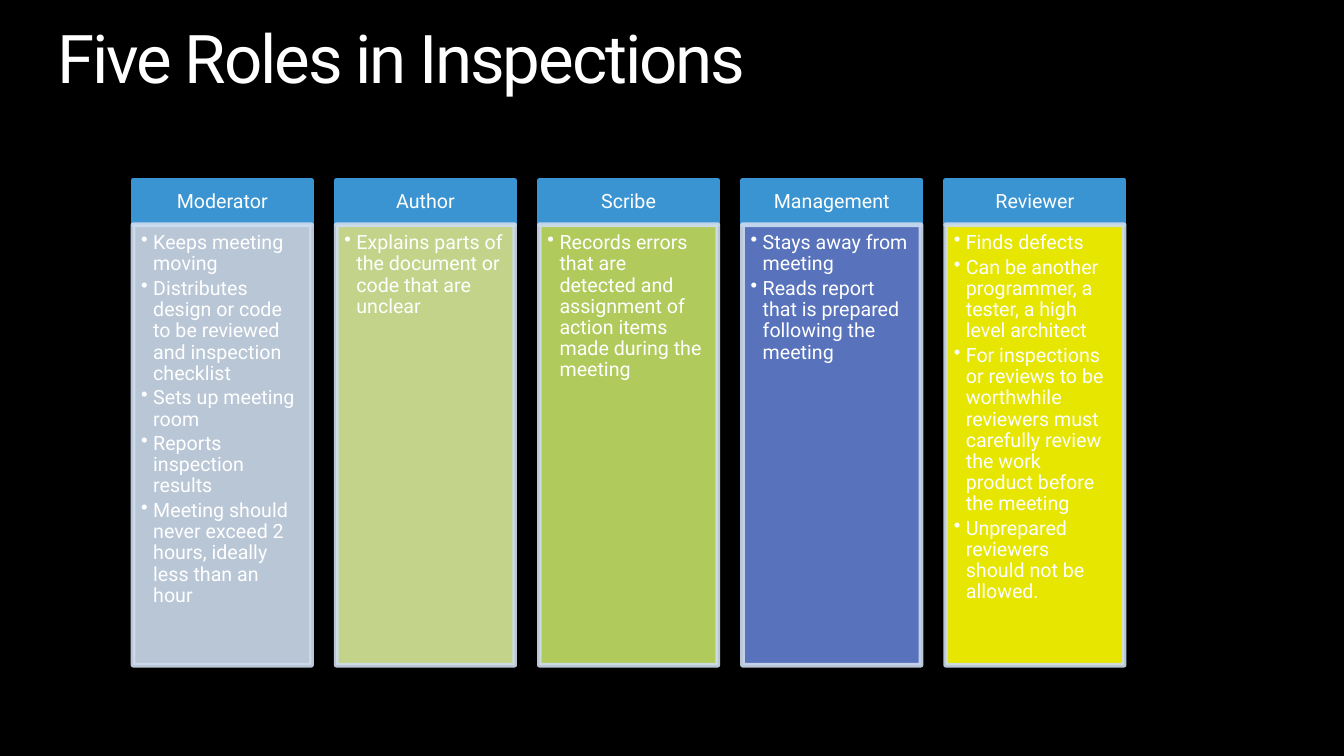
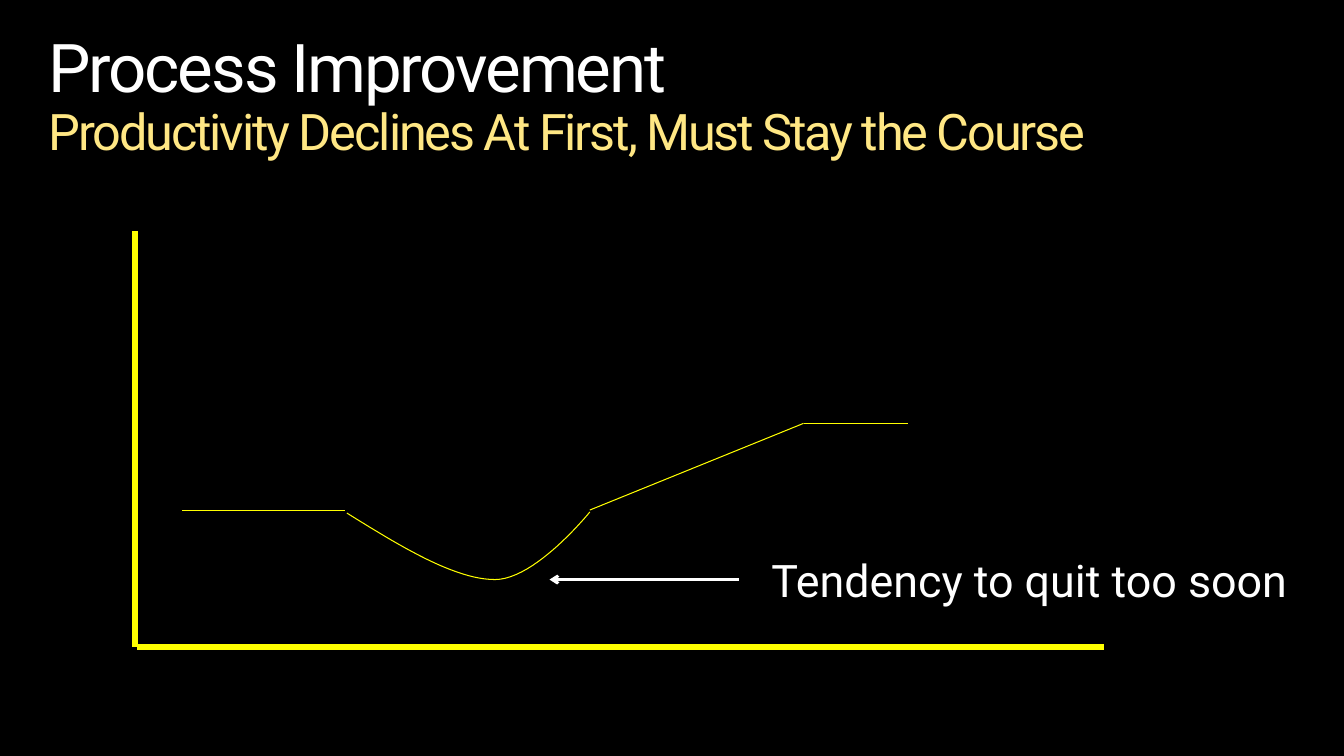
from lxml import etree
from pptx import Presentation
from pptx import util as u
from pptx.dml.color import RGBColor
from pptx.enum import shapes, text
from pptx.oxml.ns import qn

WHITE, YELLOW, GOLD = "FFFFFF", "FFFF00", "FFE784"
HEADER_BLUE, PALE_BLUE = "3A94D2", "CEDCEE"
FONT = "Roboto"


def paint(fill, color):
    fill.solid()
    fill.fore_color.rgb = RGBColor.from_string(color)


def write(p, words, size=14, color=WHITE, tracking=None, bullet=False,
          align=text.PP_ALIGN.LEFT, line_spacing=0.9, after=0):
    """Add a formatted run to a paragraph; tracking is in points."""
    p.alignment = align
    p.line_spacing = line_spacing
    p.space_before, p.space_after = u.Pt(0), u.Pt(after)
    if bullet:
        pPr = p._p.get_or_add_pPr()
        pPr.set("marL", str(u.Inches(0.12)))
        pPr.set("indent", str(u.Inches(-0.12)))
        etree.SubElement(pPr, qn("a:buChar")).set("char", "•")
    r = p.add_run()
    r.text = words
    r.font.size, r.font.name = u.Pt(size), FONT
    paint(r.font.fill, color)
    if tracking is not None:
        r._r.get_or_add_rPr().set("spc", str(int(tracking * 100)))


prs = Presentation()
prs.slide_width, prs.slide_height = u.Inches(13.33), u.Inches(7.5)
paint(prs.slide_master.background.fill, "000000")

# Titles
titles = [
    (0.57, 0.25, 0.73, [("Five Roles in Inspections", 48, WHITE)]),
    (0.48, 0.34, 1.27, [
        ("Process Improvement", 48, WHITE),
        ("Productivity Declines At First, Must Stay the Course", 36, GOLD)]),
]
slides = []
for left, top, height, lines in titles:
    s = prs.slides.add_slide(prs.slide_layouts[5])
    slides.append(s)
    sp = s.shapes.title
    sp.left, sp.top = u.Inches(left), u.Inches(top)
    sp.width, sp.height = u.Inches(12.19), u.Inches(height)
    tf = sp.text_frame
    tf.margin_left = tf.margin_top = tf.margin_right = tf.margin_bottom = 0
    tf.vertical_anchor = text.MSO_ANCHOR.TOP
    tf.auto_size = text.MSO_AUTO_SIZE.NONE
    tf.word_wrap = True
    for i, (words, size, color) in enumerate(lines):
        if i:
            tf.paragraphs[0].add_line_break()
        write(tf.paragraphs[0], words, size=size, color=color, tracking=-1.5)
roles_slide, process_slide = slides

# Role columns
roles = [
    ("Moderator", PALE_BLUE, [
        "Keeps meeting moving",
        "Distributes design or code to be reviewed and inspection checklist",
        "Sets up meeting room",
        "Reports inspection results",
        "Meeting should never exceed 2 hours, ideally less than an hour"]),
    ("Author", "D9EA9A", [
        "Explains parts of the document or code that are unclear"]),
    ("Scribe", "C5E067", [
        "Records errors that are detected and assignment of action items "
        "made during the meeting"]),
    ("Management", "6280D1", [
        "Stays away from meeting",
        "Reads report that is prepared following the meeting"]),
    ("Reviewer", YELLOW, [
        "Finds defects",
        "Can be another programmer, a tester, a high level architect",
        "For inspections or reviews to be worthwhile reviewers must "
        "carefully review the work product before the meeting",
        "Unprepared reviewers should not be allowed."]),
]
first_left, last_left = 1.32, 9.38
pitch = (last_left - first_left) / (len(roles) - 1)
for i, (role, color, duties) in enumerate(roles):
    parts = [
        (1.79, 0.44, HEADER_BLUE, HEADER_BLUE, (0.11, 0.06, 0.11, 0.06), [role]),
        (2.23, 4.37, color, PALE_BLUE, (0.08, 0.08, 0.11, 0.12), duties),
    ]
    for top, height, fill, line, insets, items in parts:
        is_header = items == [role]
        sp = roles_slide.shapes.add_shape(
            shapes.MSO_SHAPE.RECTANGLE, u.Inches(first_left + i * pitch),
            u.Inches(top), u.Inches(1.77), u.Inches(height))
        sp.shadow.inherit = False
        paint(sp.fill, fill)
        paint(sp.line.fill, line)
        sp.line.width = u.Pt(3.35)
        tf = sp.text_frame
        tf.word_wrap = True
        (tf.margin_left, tf.margin_top,
         tf.margin_right, tf.margin_bottom) = map(u.Inches, insets)
        if is_header:
            tf.vertical_anchor = text.MSO_ANCHOR.MIDDLE
            write(tf.paragraphs[0], role, align=text.PP_ALIGN.CENTER)
            continue
        for clr in sp._element.spPr.iter(qn("a:srgbClr")):
            etree.SubElement(clr, qn("a:alpha")).set("val", "90000")
        tf.vertical_anchor = text.MSO_ANCHOR.TOP
        for n, duty in enumerate(items):
            p = tf.add_paragraph() if n else tf.paragraphs[0]
            write(p, duty, bullet=True, after=2.4)

# Axes, straight parts of the productivity curve, and the arrow
segments = [
    (1.34, 2.29, 1.34, 6.42, YELLOW, 3.75, False),
    (1.36, 6.42, 10.95, 6.42, YELLOW, 3.75, False),
    (1.81, 5.06, 3.42, 5.06, YELLOW, 0.75, False),
    (5.85, 5.06, 7.97, 4.2, YELLOW, 0.75, False),
    (7.97, 4.2, 9.01, 4.2, YELLOW, 0.75, False),
    (7.33, 5.75, 5.45, 5.75, WHITE, 2, True),
]
for x1, y1, x2, y2, color, width, arrow in segments:
    cxn = process_slide.shapes.add_connector(
        shapes.MSO_CONNECTOR.STRAIGHT,
        u.Inches(x1), u.Inches(y1), u.Inches(x2), u.Inches(y2))
    paint(cxn.line.fill, color)
    cxn.line.width = u.Pt(width)
    spPr = cxn._element.spPr
    if arrow:
        etree.SubElement(spPr.find(qn("a:ln")), qn("a:tailEnd")).set("type", "arrow")
    etree.SubElement(spPr, qn("a:effectLst"))

# Productivity dip, sampled from two cubic Bézier arcs
arcs = [
    [(3.44, 5.09), (3.97, 5.42), (4.51, 5.75), (4.91, 5.75)],
    [(4.91, 5.75), (5.31, 5.75), (5.85, 5.08), (5.85, 5.08)],
]
steps = 24
dip = []
for arc in arcs:
    for k in range(1, steps + 1):
        t = k / steps
        weights = ((1 - t) ** 3, 3 * t * (1 - t) ** 2, 3 * t ** 2 * (1 - t), t ** 3)
        dip.append(tuple(
            u.Inches(sum(w * pt[axis] for w, pt in zip(weights, arc)))
            for axis in (0, 1)))
start_x, start_y = arcs[0][0]
builder = process_slide.shapes.build_freeform(u.Inches(start_x), u.Inches(start_y))
builder.add_line_segments(dip, close=False)
sp = builder.convert_to_shape()
sp.shadow.inherit = False
sp.fill.background()
paint(sp.line.fill, YELLOW)
sp.line.width = u.Pt(0.75)

# Arrow label
sp = process_slide.shapes.add_textbox(
    u.Inches(7.65), u.Inches(5.48), u.Inches(5.18), u.Inches(0.54))
tf = sp.text_frame
tf.margin_left = tf.margin_top = tf.margin_right = tf.margin_bottom = 0
tf.word_wrap = False
write(tf.paragraphs[0], "Tendency to quit too soon", size=32, line_spacing=1.0)

prs.save("out.pptx")
